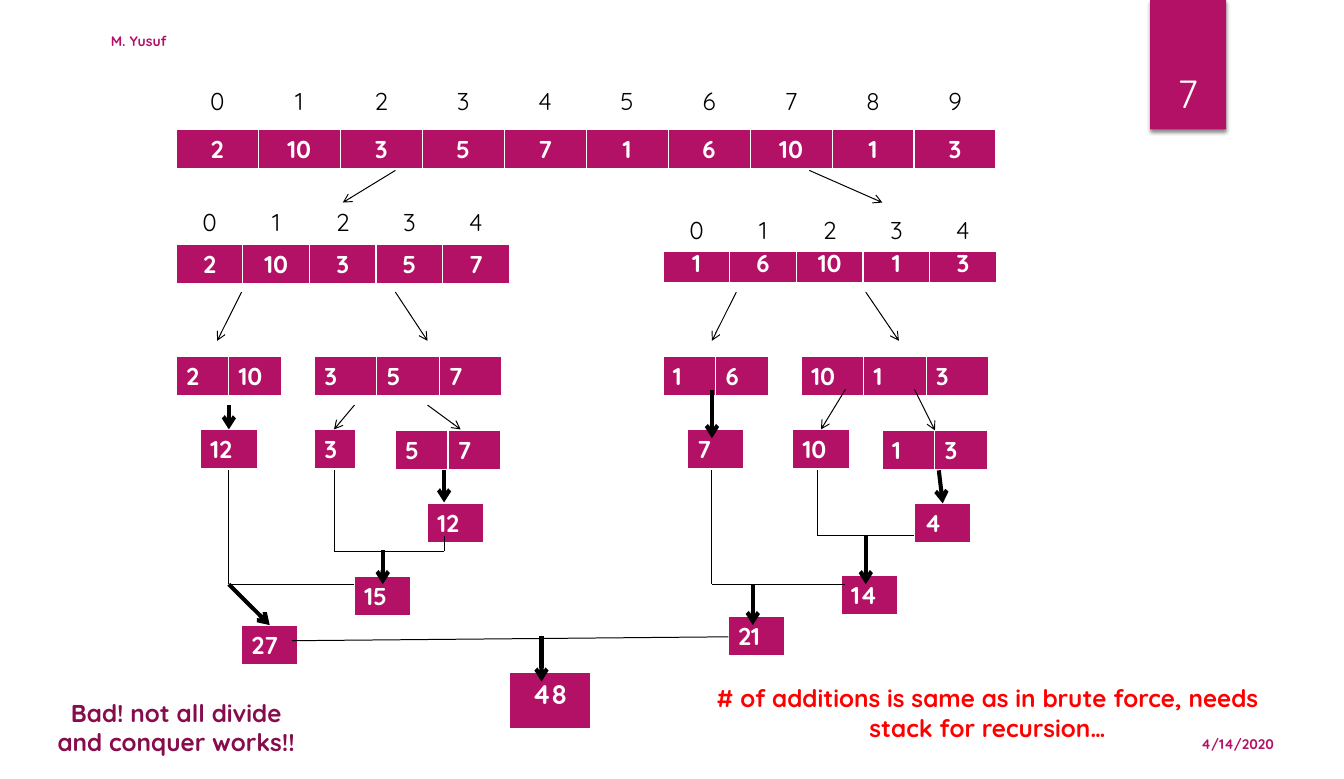
from dataclasses import dataclass

import pptx
import pptx.dml.color
import pptx.enum.shapes
import pptx.enum.text
import pptx.oxml
import pptx.oxml.ns
import pptx.util

PX = 9144
FONT = "Quicksand"
COLORS = {"magenta": "B31166", "plum": "860D4C", "red": "FF0000",
          "white": "FFFFFF", "black": "000000"}
NS = pptx.oxml.ns.nsdecls("a")
ALIGN = pptx.enum.text.PP_ALIGN
ANCHOR = pptx.enum.text.MSO_ANCHOR
HALF = 500
INDEX, VALUE = "index", "value"


@dataclass
class Strip:
    x: int
    y: int
    w: int
    cells: str
    kind: str = VALUE
    centered: bool = False
    h: int = 41
    size: int = 18


@dataclass
class Line:
    x1: int
    y1: int
    x2: int
    y2: int
    width: float = 0.75
    arrow: bool = True


@dataclass
class Label:
    x: int
    y: int
    w: int
    h: int
    text: str
    color: str
    size: float = 18
    bold: bool = True
    align: ALIGN = ALIGN.CENTER
    anchor: ANCHOR = ANCHOR.TOP


STRIPS = [
    Strip(181, 133, 842, "2 10 3 5 7 1 6 10 1 3", centered=True),
    Strip(181, 83, 842, "0 1 2 3 4 5 6 7 8 9", INDEX, True),
    Strip(181, 251, 342, "2 10 3 5 7", centered=True),
    Strip(181 + HALF, 250, 342, "1 6 10 1 3", centered=True),
    Strip(181, 208, 342, "0 1 2 3 4", INDEX, True),
    Strip(181 + HALF, 216, 342, "0 1 2 3 4", INDEX, True),
    Strip(181, 366, 108, "2 10"),
    Strip(323, 366, 192, "3 5 7"),
    Strip(323, 441, 42, "3"),
    Strip(406, 442, 108, "5 7"),
    Strip(439, 517, 58, "12"),
    Strip(364, 592, 58, "15"),
    Strip(206, 441, 58, "12"),
    Strip(248, 642, 58, "27"),
    Strip(181 + HALF, 366, 108, "1 6"),
    Strip(323 + HALF, 366, 192, "10 1 3"),
    Strip(814, 441, 58, "10"),
    Strip(406 + HALF, 442, 108, "1 3"),
    Strip(439 + HALF, 517, 58, "4"),
    Strip(364 + HALF, 591, 58, "14"),
    Strip(206 + HALF, 441, 58, "7"),
    Strip(248 + HALF, 633, 58, "21"),
    Strip(523, 691, 83, "48", centered=True, h=58, size=20),
]

SPLITS = [
    Line(406, 175, 352, 208), Line(831, 175, 906, 208),
    Line(248, 300, 223, 350), Line(406, 300, 439, 350),
    Line(756, 300, 731, 350), Line(889, 300, 923, 350),
    Line(364, 416, 343, 441), Line(439, 416, 473, 441),
    Line(868, 400, 843, 441), Line(939, 400, 960, 442),
]
SUMS = [Line(*ends, width=3) for ends in (
    (235, 416, 235, 441), (456, 483, 456, 516), (393, 565, 393, 600),
    (235, 600, 277, 642), (556, 653, 556, 700), (964, 483, 968, 517),
    (889, 550, 889, 600), (773, 600, 773, 642), (731, 400, 731, 450))]
JOINS = [Line(*ends, arrow=False) for ends in (
    (343, 483, 343, 566), (456, 550, 456, 566), (456, 566, 343, 566),
    (235, 483, 235, 600), (364, 600, 235, 600), (300, 658, 748, 654),
    (839, 483, 839, 550), (839, 550, 939, 550),
    (731, 483, 731, 600), (731, 600, 868, 600))]

LABELS = [
    Label(1206, 746, 112, 36, "4/14/2020", "magenta", 10.3,
          align=ALIGN.RIGHT, anchor=ANCHOR.MIDDLE),
    Label(104, 24, 437, 36, "M. Yusuf", "magenta", 10.3,
          align=ALIGN.LEFT, anchor=ANCHOR.MIDDLE),
    Label(1172, 34, 95, 90, "7", "white", 29, False, anchor=ANCHOR.BOTTOM),
    Label(723, 697, 582, 71, "# of additions is same as in brute force, "
          "needs stack for recursion…", "red"),
    Label(38, 712, 286, 71, "Bad! not all divide\nand conquer works!!", "plum"),
]


def px(*values: int) -> list[int]:
    return [v * PX for v in values]


def rgb(name: str) -> pptx.dml.color.RGBColor:
    return pptx.dml.color.RGBColor.from_string(COLORS[name])


def write(tf, text: str, *, size: float, color: str, bold: bool, align: ALIGN) -> None:
    for i, line in enumerate(text.split("\n")):
        p = tf.add_paragraph() if i else tf.paragraphs[0]
        p.alignment = align
        r = p.add_run()
        r.text = line
        r.font.name = FONT
        r.font.size = pptx.util.Pt(size)
        r.font.bold = bold
        r.font.color.rgb = rgb(color)


def add_borders(cell) -> None:
    tcPr = cell._tc.get_or_add_tcPr()
    for i, (side, pt) in enumerate((("L", 1), ("R", 1), ("T", 1), ("B", 3))):
        tcPr.insert(i, pptx.oxml.parse_xml(
            f'<a:ln{side} {NS} w="{pptx.util.Pt(pt)}"><a:solidFill>'
            f'<a:srgbClr val="{COLORS["white"]}"/></a:solidFill></a:ln{side}>'))


def add_strip(s, strip: Strip) -> None:
    values = strip.cells.split()
    is_value = strip.kind == VALUE
    table = s.shapes.add_table(
        1, len(values), *px(strip.x, strip.y, strip.w, strip.h)).table
    table.first_row = table.horz_banding = False
    for cell, value in zip(table.rows[0].cells, values):
        cell.fill.solid()
        cell.fill.fore_color.rgb = rgb("magenta" if is_value else "white")
        add_borders(cell)
        write(cell.text_frame, value, size=strip.size, bold=is_value,
              color="white" if is_value else "black",
              align=ALIGN.CENTER if strip.centered else ALIGN.LEFT)


def add_line(s, line: Line) -> None:
    sp = s.shapes.add_connector(pptx.enum.shapes.MSO_CONNECTOR.STRAIGHT,
                                *px(line.x1, line.y1, line.x2, line.y2))
    sp.line.width = pptx.util.Pt(line.width)
    sp.line.color.rgb = rgb("black")
    if line.arrow:
        sp.line._get_or_add_ln().append(
            pptx.oxml.parse_xml(f'<a:tailEnd {NS} type="arrow"/>'))
    sp._element.spPr.append(pptx.oxml.parse_xml(f"<a:effectLst {NS}/>"))


def add_label(s, label: Label) -> None:
    tf = s.shapes.add_textbox(
        *px(label.x, label.y, label.w, label.h)).text_frame
    tf.word_wrap = True
    tf.vertical_anchor = label.anchor
    write(tf, label.text, size=label.size, color=label.color,
          bold=label.bold, align=label.align)


def add_ribbon(s) -> None:
    sp = s.shapes.add_shape(
        pptx.enum.shapes.MSO_SHAPE.RECTANGLE, *px(1181, 0, 78, 133))
    sp.fill.solid()
    sp.fill.fore_color.rgb = rgb("magenta")
    sp.line.fill.background()
    sp._element.spPr.append(pptx.oxml.parse_xml(
        f'<a:effectLst {NS}><a:outerShdw blurRad="{pptx.util.Pt(3)}" '
        f'dist="{pptx.util.Pt(2)}" dir="5400000" rotWithShape="0">'
        f'<a:srgbClr val="{COLORS["black"]}"><a:alpha val="45000"/>'
        '</a:srgbClr></a:outerShdw></a:effectLst>'))


def main() -> None:
    prs = pptx.Presentation()
    prs.slide_width, prs.slide_height = px(1380, 800)
    s = prs.slides.add_slide(prs.slide_layouts[6])
    add_ribbon(s)
    for strip in STRIPS:
        add_strip(s, strip)
    for line in SPLITS + SUMS + JOINS:
        add_line(s, line)
    for label in LABELS:
        add_label(s, label)
    prs.save("out.pptx")


if __name__ == "__main__":
    main()
